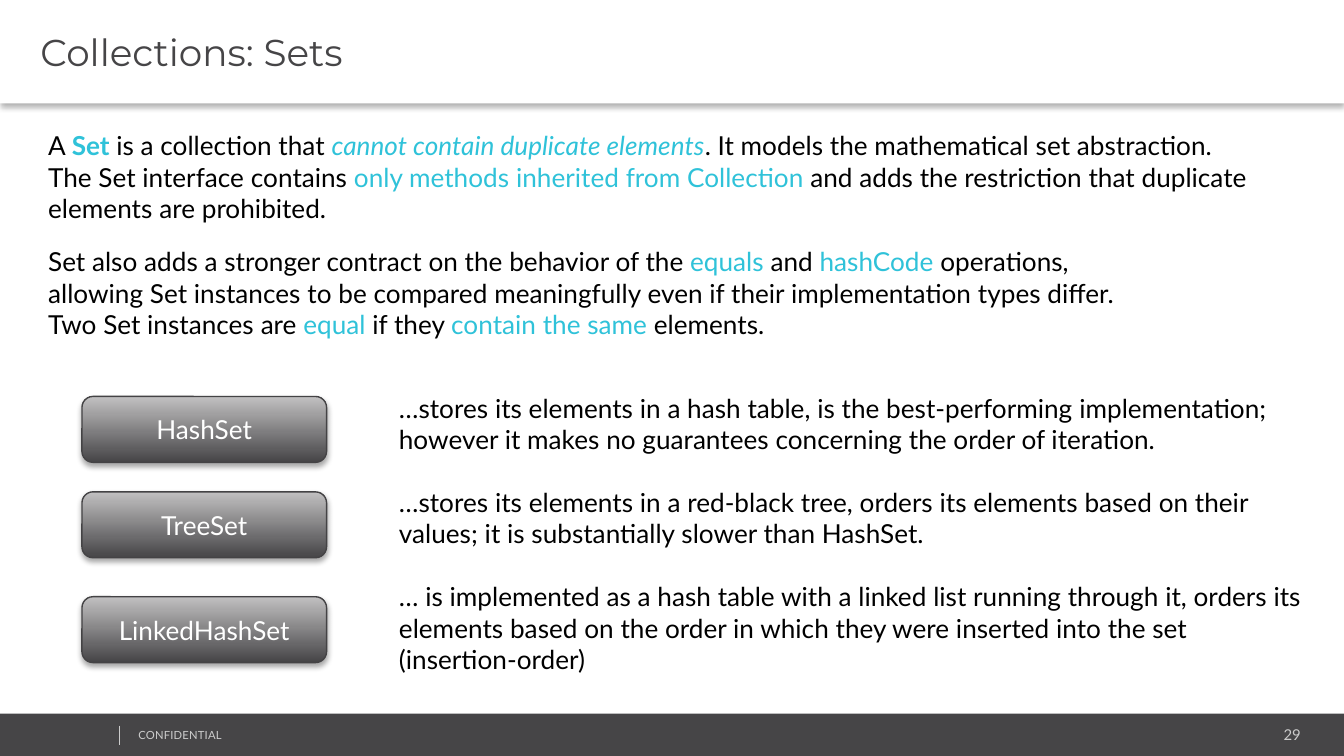
"""Builds the slide on Java Set collections."""
from dataclasses import dataclass

from lxml.etree import SubElement
from pptx import Presentation
from pptx.dml.color import RGBColor
from pptx.enum.shapes import MSO_CONNECTOR, MSO_SHAPE
from pptx.enum.text import MSO_ANCHOR, MSO_AUTO_SIZE, PP_ALIGN
from pptx.oxml.ns import qn
from pptx.util import Inches, Pt


@dataclass(frozen=True)
class Theme:
    dark: str = "464547"
    outline: str = "444345"
    silver: str = "C1C0C1"
    muted: str = "CCCCCC"
    accent: str = "2FC2D9"
    black: str = "000000"
    white: str = "FFFFFF"
    heading_font: str = "Montserrat"
    body_font: str = "Lato"
    title_size: float = 20
    body_size: float = 14
    number_size: float = 8
    footer_size: float = 6


def rgb(code):
    return RGBColor.from_string(code)


def tied(wording):
    return wording.replace("~", chr(160))


class SlideBuilder:
    def __init__(self, slide, theme):
        self.slide = slide
        self.theme = theme

    def style(self, paragraph, size, color, font=None, align=PP_ALIGN.LEFT):
        paragraph.alignment = align
        paragraph.font.size = Pt(size)
        paragraph.font.name = font or self.theme.body_font
        if color:
            paragraph.font.color.rgb = rgb(color)

    def shadow(self, shape, opacity, distance):
        effects = SubElement(shape._element.spPr, qn("a:effectLst"))
        outer = SubElement(effects, qn("a:outerShdw"), blurRad=str(Pt(3.1)),
                           dist=str(Pt(distance)), dir="5400000",
                           algn="t", rotWithShape="0")
        color = SubElement(outer, qn("a:srgbClr"), val=self.theme.black)
        SubElement(color, qn("a:alpha"), val=str(opacity * 1000))

    def bar(self, top, width, height, color):
        bar = self.slide.shapes.add_shape(
            MSO_SHAPE.RECTANGLE, 0, Inches(top), Inches(width), Inches(height))
        bar.fill.solid()
        bar.fill.fore_color.rgb = rgb(color)
        bar.line.fill.background()
        return bar

    def title(self, wording):
        band = self.bar(0, 10, 0.77, self.theme.white)
        self.shadow(band, 30, 2)
        frame = band.text_frame
        frame.margin_left, frame.margin_right = Inches(0.3), Inches(0.07)
        frame.margin_top = frame.margin_bottom = Inches(0.04)
        frame.vertical_anchor = MSO_ANCHOR.MIDDLE
        frame.text = wording
        self.style(frame.paragraphs[0], self.theme.title_size, self.theme.dark,
                   self.theme.heading_font)

    def text_box(self, left, top, width, height):
        box = self.slide.shapes.add_textbox(
            Inches(left), Inches(top), Inches(width), Inches(height))
        frame = box.text_frame
        frame.word_wrap = True
        frame.auto_size = MSO_AUTO_SIZE.SHAPE_TO_FIT_TEXT
        return frame

    def footer_text(self, wording, left, top, width, height, size,
                    align=PP_ALIGN.LEFT, spacing=0):
        frame = self.text_box(left, top, width, height)
        frame.margin_left = frame.margin_right = Inches(0.07)
        frame.margin_top = frame.margin_bottom = Inches(0.04)
        frame.text = wording
        paragraph = frame.paragraphs[0]
        self.style(paragraph, size, self.theme.muted, align=align)
        if spacing:
            paragraph.runs[0]._r.get_or_add_rPr().set("spc", str(spacing))

    def footer_rule(self, left, top, bottom):
        rule = self.slide.shapes.add_connector(
            MSO_CONNECTOR.STRAIGHT, Inches(left), Inches(top),
            Inches(left), Inches(bottom))
        rule.line.color.rgb = rgb(self.theme.muted)
        rule.line.width = Pt(0.25)
        SubElement(rule._element.spPr, qn("a:effectLst"))

    def body(self, pieces, left, top, width, height, anchor=MSO_ANCHOR.TOP):
        frame = self.text_box(left, top, width, height)
        frame.vertical_anchor = anchor
        paragraph = frame.paragraphs[0]
        self.style(paragraph, self.theme.body_size, None)
        for wording, look in pieces:
            run = paragraph.add_run()
            run.text = tied(wording)
            plain = look == "plain"
            run.font.color.rgb = rgb(self.theme.black if plain else self.theme.accent)
            if look == "bold":
                run.font.bold = True
            if look == "italic":
                run.font.italic = True

    def class_button(self, wording, top):
        button = self.slide.shapes.add_shape(
            MSO_SHAPE.ROUNDED_RECTANGLE, Inches(0.61), Inches(top),
            Inches(1.82), Inches(0.49))
        button.fill.gradient()
        button.fill.gradient_angle = 90
        shades = (self.theme.dark, self.theme.silver)
        for stop, position, shade in zip(button.fill.gradient_stops, (0, 1), shades):
            stop.position = position
            stop.color.rgb = rgb(shade)
        button.line.color.rgb = rgb(self.theme.outline)
        button.line.width = Pt(0.75)
        self.shadow(button, 35, 1.8)
        frame = button.text_frame
        frame.vertical_anchor = MSO_ANCHOR.MIDDLE
        frame.text = wording
        self.style(frame.paragraphs[0], self.theme.body_size, self.theme.white,
                   align=PP_ALIGN.CENTER)


DEFINITION = [
    ("A~", "plain"),
    ("Set", "bold"),
    ("~is a~collection~that ", "plain"),
    ("cannot contain duplicate elements", "italic"),
    (". It models the mathematical set abstraction. "
     "The~Set~interface contains~", "plain"),
    ("only~methods inherited from~Collection", "accent"),
    ("~and adds the restriction that duplicate elements are prohibited.~", "plain"),
]
CONTRACT = [
    ("Set~also adds a stronger contract on the behavior of the~", "plain"),
    ("equals", "accent"),
    ("~and~", "plain"),
    ("hashCode", "accent"),
    ("~operations, allowing~Set~instances to be compared meaningfully even if "
     "their implementation types differ. Two~Set~instances are ", "plain"),
    ("equal", "accent"),
    (" if they ", "plain"),
    ("contain the same ", "accent"),
    ("elements.", "plain"),
]
IMPLEMENTATIONS = [
    ("HashSet", 2.95, 2.87, 7.13, 0.57,
     "…stores its elements in a hash table, is the best-performing implementation; "
     "however it makes no guarantees concerning the order of iteration."),
    ("TreeSet", 3.66, 3.57, 6.91, 0.57,
     "…stores its elements in a red-black tree, orders its elements based on their "
     "values; it is substantially slower than~HashSet."),
    ("LinkedHashSet", 4.44, 4.27, 6.91, 0.81,
     "… is implemented as a hash table with a linked list running through it, orders "
     "its elements based on the order in which they were inserted into the set "
     "(insertion-order)"),
]


def main():
    deck = Presentation()
    deck.slide_width, deck.slide_height = Inches(10), Inches(10 * 9 / 16)
    theme = Theme()
    builder = SlideBuilder(deck.slides.add_slide(deck.slide_layouts[6]), theme)

    builder.bar(5.31, 10.01, 0.33, theme.dark).shadow.inherit = False
    builder.footer_text("29", 8.12, 5.36, 1.63, 0.21, theme.number_size, PP_ALIGN.RIGHT)
    builder.footer_text("CONFIDENTIAL", 0.96, 5.38, 2.53, 0.18, theme.footer_size,
                        spacing=10)
    builder.footer_rule(0.89, 5.4, 5.54)
    builder.title("Collections: Sets")
    builder.body(DEFINITION, 0.26, 0.91, 9.51, 0.81, MSO_ANCHOR.MIDDLE)
    builder.body(CONTRACT, 0.26, 1.78, 9.51, 0.81)
    for name, button_top, text_top, width, height, summary in IMPLEMENTATIONS:
        builder.body([(summary, "plain")], 2.87, text_top, width, height)
    for name, button_top, *_ in IMPLEMENTATIONS:
        builder.class_button(name, button_top)
    deck.save("out.pptx")


if __name__ == "__main__":
    main()
